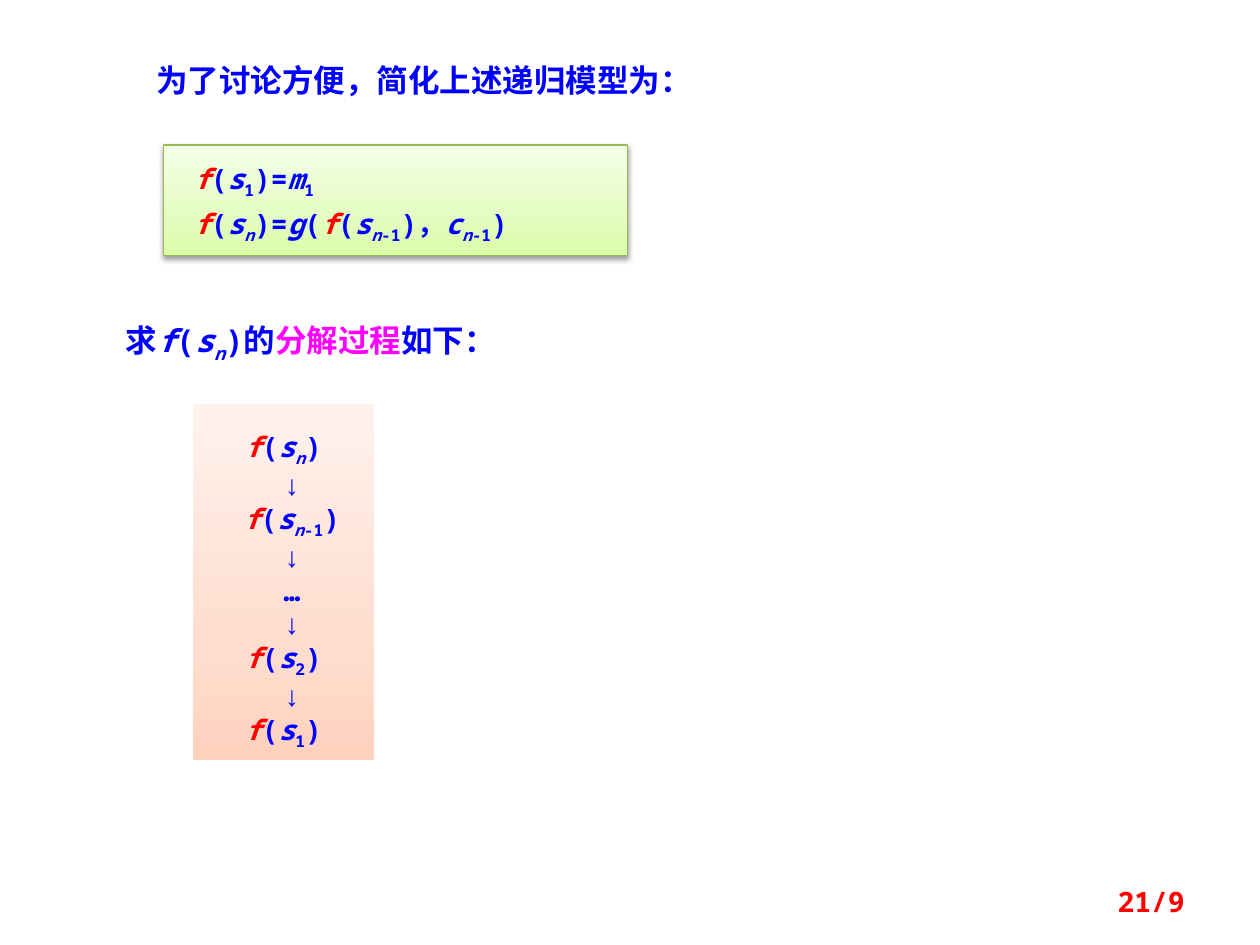
from copy import deepcopy
from lxml.etree import SubElement
from pptx import Presentation
from pptx.dml.color import RGBColor
from pptx.enum.shapes import MSO_SHAPE
from pptx.enum.text import MSO_ANCHOR, PP_ALIGN
from pptx.oxml.ns import qn
from pptx.util import Pt

BLUE, RED, PINK = "0000FF", "FF0000", "FF00FF"


def tint(code):
    return RGBColor.from_string(code)


class Page:
    font = "Noto Sans Mono"

    def __init__(self, deck):
        self.slide = deck.slides.add_slide(deck.slide_layouts[6])

    def panel(self, place, stops, edge=None):
        box = self.slide.shapes.add_shape(MSO_SHAPE.RECTANGLE, *map(Pt, place))
        box.shadow.inherit = False
        fill = box.fill
        fill.gradient()
        fill.gradient_angle = 90
        marks = box._element.spPr.find(".//" + qn("a:gsLst"))
        marks.insert(1, deepcopy(marks[0]))
        for stop, code, spot in zip(fill.gradient_stops, stops, (0, 0.35, 1)):
            stop.color.rgb = tint(code)
            stop.position = spot
        if edge:
            box.line.color.rgb = tint(edge)
            box.line.width = Pt(0.75)
            self.shade(box)
        else:
            box.line.fill.background()
        return box.text_frame

    def shade(self, box):
        group = box._element.spPr.find(qn("a:effectLst"))
        drop = SubElement(group, qn("a:outerShdw"), blurRad=str(Pt(3.1)),
                          dist=str(Pt(1.6)), dir="5400000", rotWithShape="0")
        black = SubElement(drop, qn("a:srgbClr"), val="000000")
        SubElement(black, qn("a:alpha"), val="38000")

    def label(self, place):
        return self.slide.shapes.add_textbox(*map(Pt, place)).text_frame

    def words(self, frame, lines, size, pad=(7.2, 3.6), align=PP_ALIGN.LEFT,
              pitch=None, gap=0, anchor=MSO_ANCHOR.TOP, color=BLUE):
        frame.word_wrap = True
        frame.vertical_anchor = anchor
        frame.margin_left, frame.margin_right = Pt(pad[0]), Pt(7.2)
        frame.margin_top = frame.margin_bottom = Pt(pad[1])
        for row, (runs, shift) in enumerate(lines):
            para = frame.add_paragraph() if row else frame.paragraphs[0]
            para.alignment = align
            if pitch:
                para.line_spacing = pitch
            if row and gap:
                para.space_before = Pt(gap)
            if shift:
                props = para._p.get_or_add_pPr()
                props.set("marL", str(Pt(shift)))
                props.set("indent", "0")
            font = para.font
            font.name, font.size, font.bold = self.font, Pt(size), True
            font.color.rgb = tint(color)
            for text, style in runs:
                self.piece(para, text, style)

    def piece(self, para, text, style):
        run = para.add_run()
        run.text = text
        if "i" in style:
            run.font.italic = True
        if "s" in style:
            run.font._element.set("baseline", "-25000")
        for key, code in (("r", RED), ("p", PINK)):
            if key in style:
                run.font.color.rgb = tint(code)


def call(sub, hue="r"):
    return [("f", "i" + hue), ("(", ""), ("s", "i"), *sub, (")", "")]


def main():
    deck = Presentation()
    deck.slide_width, deck.slide_height = Pt(720), Pt(540)
    page = Page(deck)
    one, two, last = [("1", "s")], [("2", "s")], [("n", "is")]
    prior = [("n", "is"), ("-1", "s")]

    model = page.panel((93.6, 82.8, 265, 63.4),
                       ("DAFDA7", "E4FCC2", "F5FFE7"), "98B955")
    base = call(one) + [("=", ""), ("m", "i"), *one]
    step = call(last) + [("=", ""), ("g", "i"), ("(", ""), *call(prior),
                         ("，", ""), ("c", "i"), *prior, (")", "")]
    page.words(model, [(base, 0), (step, 0)], 16, (17.3, 11.5),
               pitch=0.8, gap=8)

    chain = page.panel((110.2, 231.1, 103.7, 203),
                       ("FFD2BD", "FFDED0", "FFF2ED"))
    arrow = ([("↓", "")], 9.6)
    dots = ([("…", "")], 9.6)
    steps = [(call(last), 0), arrow, (call(prior), 9.6), arrow, dots, arrow,
             (call(two), 0), arrow, (call(one), 0)]
    page.words(chain, steps, 16, (7.2, 14.4), PP_ALIGN.CENTER)

    goal = [("求", ""), *call(last, ""), ("的", ""), ("分解过程", "p"),
            ("如下：", "")]
    page.words(page.label((64.8, 180, 306, 28.8)), [(goal, 0)], 18)
    intro = [("为了讨论方便，简化上述递归模型为：", "")]
    page.words(page.label((82.1, 35.3, 442, 24.5)), [(intro, 0)], 18,
               pitch=0.8)
    page.words(page.label((516.2, 500.4, 167.8, 28.8)),
               [([("21/9", "")], 0)], 16, align=PP_ALIGN.RIGHT,
               anchor=MSO_ANCHOR.MIDDLE, color=RED)
    deck.save("out.pptx")


if __name__ == "__main__":
    main()
